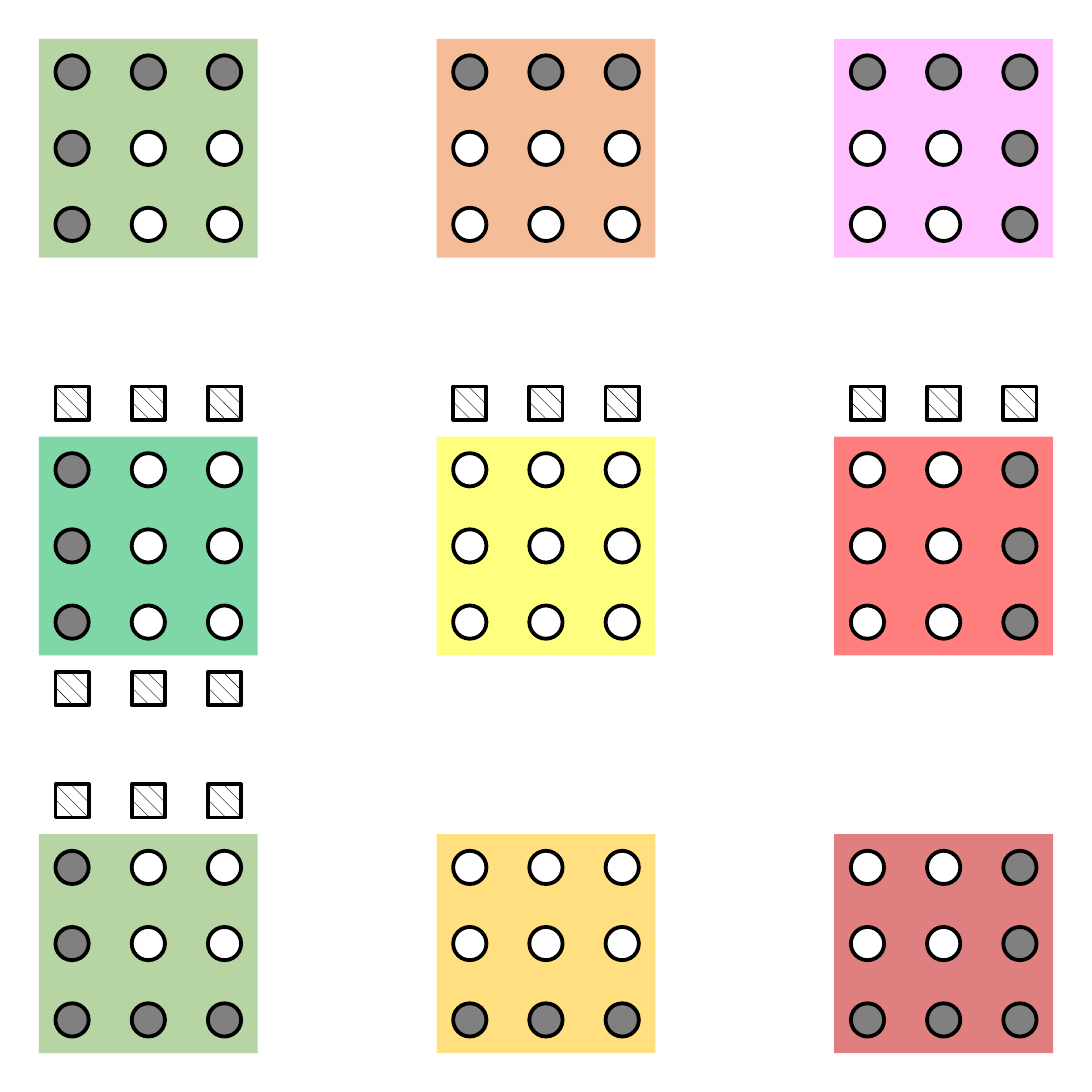
"""Draw nine tinted tiles of dots, some edged by rows of hatched squares."""
from dataclasses import dataclass

import pptx
import pptx.dml.color
import pptx.enum.dml
import pptx.enum.shapes
import pptx.oxml
import pptx.oxml.ns
import pptx.shapes.autoshape
import pptx.slide
import pptx.util

SIDE = 3.94
MARGIN = 0.14
TILE = 0.79
INSET = 0.06
MARK = 0.12
TILE_STEP = (SIDE - 2 * MARGIN - TILE) / 2
MARK_STEP = (TILE - 2 * INSET - MARK) / 2
ABOVE = -INSET - MARK
BELOW = TILE + INSET

Shape = pptx.shapes.autoshape.Shape
Kind = pptx.enum.shapes.MSO_SHAPE


@dataclass(frozen=True)
class Theme:
    """Hold the shared colours and line width."""
    ink: str = "000000"
    paper: str = "FFFFFF"
    grey: str = "808080"
    line: float = 1


@dataclass(frozen=True)
class Tile:
    """Describe one tile: its tint, its dots (# is grey) and its hatched rows."""
    row: int
    col: int
    tint: str
    dots: tuple[str, str, str]
    alpha: int = 50
    bands: tuple[float, ...] = ()


THEME = Theme()
TILES = (
    Tile(0, 0, "70AD47", ("###", "#..", "#..")),
    Tile(0, 1, "ED7D31", ("###", "...", "...")),
    Tile(0, 2, "FF00FF", ("###", "..#", "..#"), alpha=25),
    Tile(1, 0, "00B050", ("#..", "#..", "#.."), bands=(ABOVE, BELOW)),
    Tile(1, 1, "FFFF00", ("...", "...", "..."), bands=(ABOVE,)),
    Tile(1, 2, "FF0000", ("..#", "..#", "..#"), bands=(ABOVE,)),
    Tile(2, 0, "70AD47", ("#..", "#..", "###"), bands=(ABOVE,)),
    Tile(2, 1, "FFC000", ("...", "...", "###")),
    Tile(2, 2, "C00000", ("..#", "..#", "###")),
)


def tone(code: str) -> pptx.dml.color.RGBColor:
    """Turn a hex code into a colour."""
    return pptx.dml.color.RGBColor.from_string(code)


def add_box(slide: pptx.slide.Slide, kind: Kind, left: float, top: float, size: float, code: str) -> Shape:
    """Add a square-framed shape with a plain fill and no shadow."""
    span = pptx.util.Inches(size)
    box = slide.shapes.add_shape(kind, pptx.util.Inches(left), pptx.util.Inches(top), span, span)
    box.shadow.inherit = False
    box.fill.solid()
    box.fill.fore_color.rgb = tone(code)
    return box


def add_mark(slide: pptx.slide.Slide, kind: Kind, left: float, top: float, code: str) -> Shape:
    """Add a small outlined mark."""
    mark = add_box(slide, kind, left, top, MARK, code)
    mark.line.color.rgb = tone(THEME.ink)
    mark.line.width = pptx.util.Pt(THEME.line)
    return mark


def hatch(mark: Shape) -> None:
    """Fill a mark with diagonal lines."""
    mark.fill.patterned()
    mark.fill.pattern = pptx.enum.dml.MSO_PATTERN.WIDE_DOWNWARD_DIAGONAL
    mark.fill.fore_color.rgb = tone(THEME.ink)
    mark.fill.back_color.rgb = tone(THEME.paper)


def fade(box: Shape, alpha: int) -> None:
    """Make the fill of a shape see-through."""
    color = box.element.spPr.find(pptx.oxml.ns.qn("a:solidFill"))[0]
    node = pptx.oxml.parse_xml(f'<a:alpha {pptx.oxml.ns.nsdecls("a")} val="{alpha * 1000}"/>')
    color.append(node)


def add_tile(slide: pptx.slide.Slide, tile: Tile) -> None:
    """Draw a tile with its dots and hatched rows."""
    left = MARGIN + tile.col * TILE_STEP
    top = MARGIN + tile.row * TILE_STEP
    back = add_box(slide, Kind.RECTANGLE, left, top, TILE, tile.tint)
    back.line.fill.background()
    fade(back, tile.alpha)
    spots = [left + INSET + col * MARK_STEP for col in range(3)]
    for row, signs in enumerate(tile.dots):
        for spot, sign in zip(spots, signs):
            code = THEME.grey if sign == "#" else THEME.paper
            add_mark(slide, Kind.OVAL, spot, top + INSET + row * MARK_STEP, code)
    for band in tile.bands:
        for spot in spots:
            hatch(add_mark(slide, Kind.RECTANGLE, spot, top + band, THEME.paper))


def main() -> None:
    """Build and save the slide."""
    deck = pptx.Presentation()
    deck.slide_width = deck.slide_height = pptx.util.Inches(SIDE)
    slide = deck.slides.add_slide(deck.slide_layouts[6])
    for tile in TILES:
        add_tile(slide, tile)
    deck.save("out.pptx")


if __name__ == "__main__":
    main()
